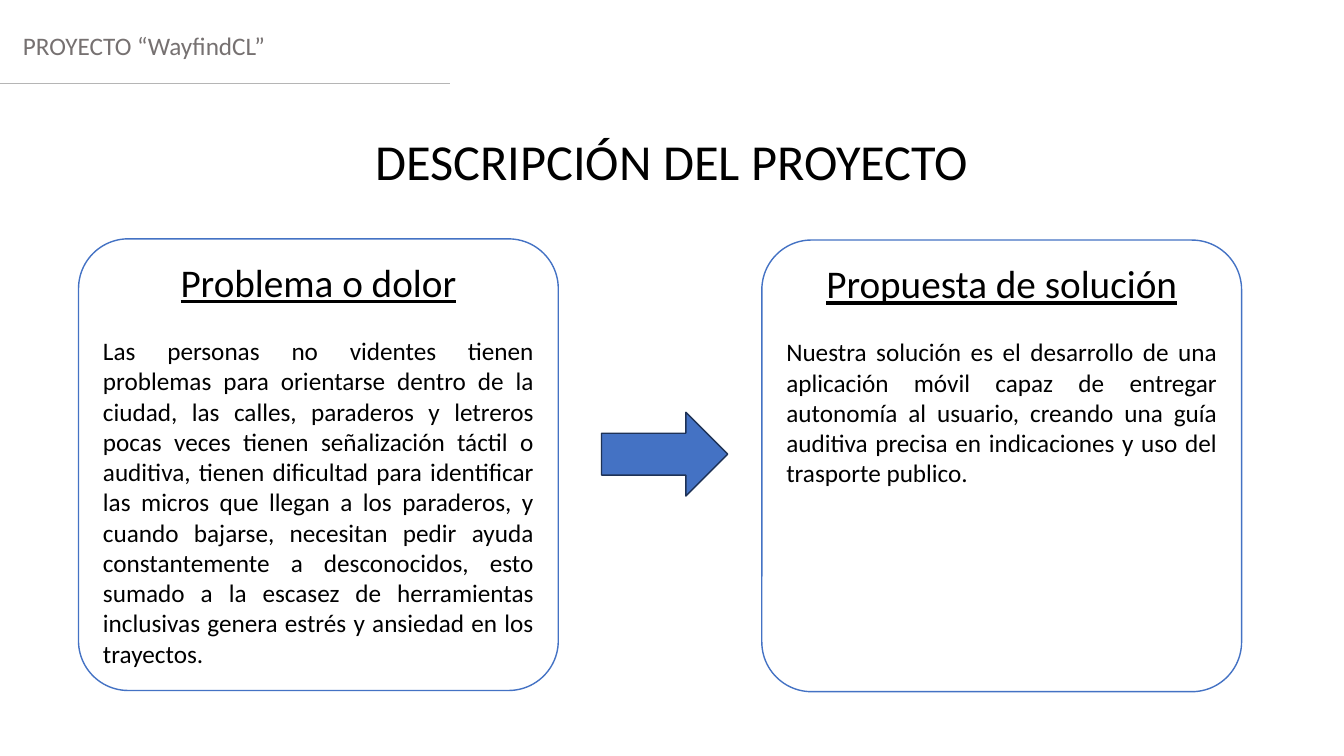
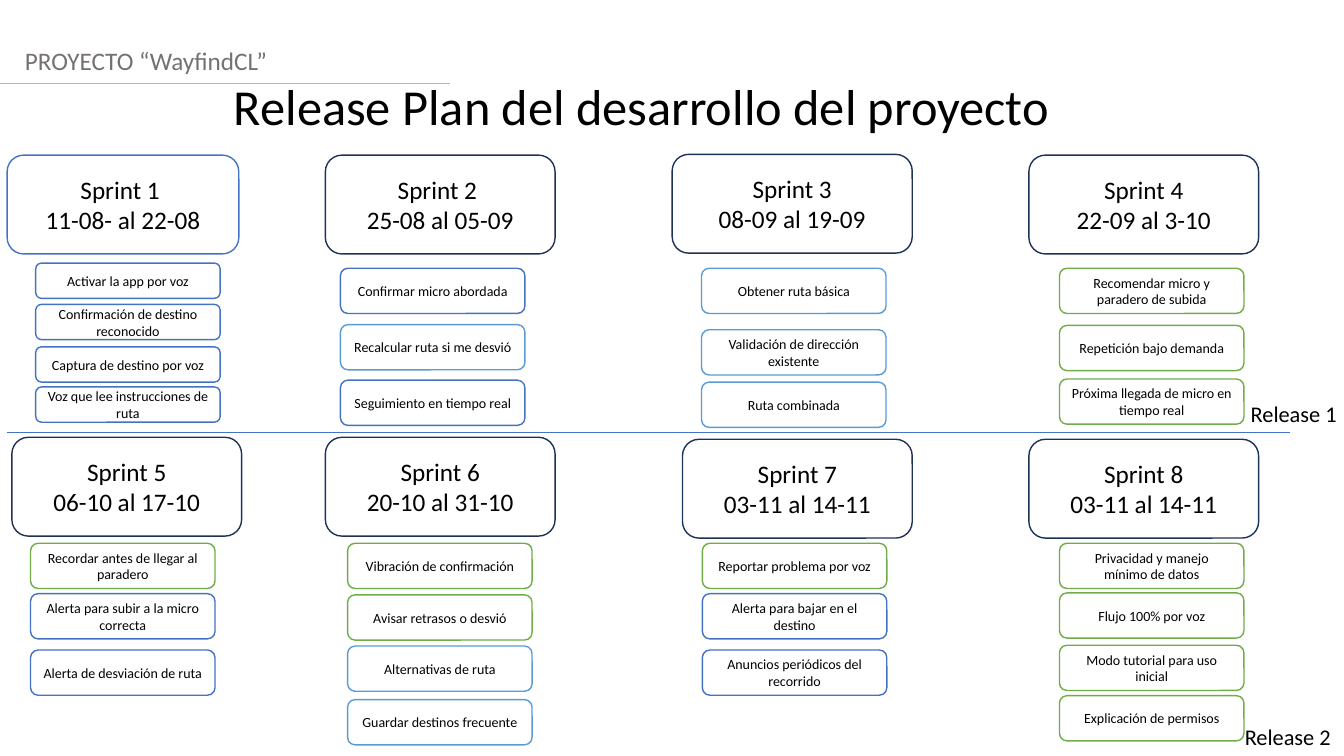
from dataclasses import dataclass

import pptx
import pptx.dml.color
import pptx.enum.shapes
import pptx.enum.text
import pptx.oxml.ns
import pptx.util
from lxml import etree
from pptx.util import Cm

RGBColor = pptx.dml.color.RGBColor
Align = pptx.enum.text.PP_ALIGN
Anchor = pptx.enum.text.MSO_ANCHOR
Preset = pptx.enum.shapes.MSO_SHAPE

BLACK = RGBColor(0x00, 0x00, 0x00)
WHITE = RGBColor(0xFF, 0xFF, 0xFF)
GRAY = RGBColor(0x76, 0x71, 0x71)
LIGHT_GRAY = RGBColor(0xB5, 0xB5, 0xB5)
BLUE = RGBColor(0x44, 0x72, 0xC4)
SKY = RGBColor(0x5B, 0x9B, 0xD5)
GREEN = RGBColor(0x70, 0xAD, 0x47)
NAVY = RGBColor(0x1E, 0x32, 0x56)

FONT = "Calibri"
SLIDE_WIDTH, SLIDE_HEIGHT = 33.87, 19.05
SPRINT_HEIGHT = 2.49
STORY_WIDTH = 4.65


@dataclass(frozen=True)
class Panel:
    left: float
    top: float
    heading: str
    body: str


@dataclass(frozen=True)
class Story:
    top: float
    border: RGBColor
    text: str


@dataclass(frozen=True)
class Sprint:
    left: float
    top: float
    name: str
    dates: str
    story_left: float
    stories: tuple[Story, ...]
    width: float = 5.79
    border: RGBColor = NAVY
    story_height: float = 1.14


@dataclass(frozen=True)
class Release:
    left: float
    top: float
    name: str


PANELS = (
    Panel(1.98, 6.02, "Problema o dolor",
          "Las personas no videntes tienen problemas para orientarse dentro de la ciudad, "
          "las calles, paraderos y letreros pocas veces tienen señalización táctil o auditiva, "
          "tienen dificultad para identificar las micros que llegan a los paraderos, y cuando "
          "bajarse, necesitan pedir ayuda constantemente a desconocidos, esto sumado a la "
          "escasez de herramientas inclusivas genera estrés y ansiedad en los trayectos."),
    Panel(19.2, 6.05, "Propuesta de solución",
          "Nuestra solución es el desarrollo de una aplicación móvil capaz de entregar "
          "autonomía al usuario, creando una guía auditiva precisa en indicaciones y uso "
          "del trasporte publico."),
)

SPRINTS = (
    Sprint(0.18, 3.91, "Sprint 1 ", "11-08- al 22-08", 0.9, (
        Story(6.63, BLUE, "Activar la app por voz"),
        Story(7.67, BLUE, "Confirmación de destino reconocido"),
        Story(8.74, BLUE, "Captura de destino por voz"),
        Story(9.75, BLUE, "Voz que lee instrucciones de ruta"),
    ), width=5.84, border=BLUE, story_height=0.89),
    Sprint(8.2, 3.91, "Sprint 2 ", "25-08 al 05-09", 8.58, (
        Story(6.76, BLUE, "Confirmar micro abordada"),
        Story(8.18, SKY, "Recalcular ruta si me desvió"),
        Story(9.58, BLUE, "Seguimiento en tiempo real"),
    )),
    Sprint(16.94, 3.89, "Sprint 3", "08-09 al 19-09", 17.68, (
        Story(6.76, SKY, "Obtener ruta básica"),
        Story(8.31, SKY, "Validación de dirección existente"),
        Story(9.63, SKY, "Ruta combinada"),
    ), width=6.05),
    Sprint(25.93, 3.91, "Sprint 4", "22-09 al 3-10", 26.7, (
        Story(6.76, GREEN, "Recomendar micro y paradero de subida"),
        Story(8.2, GREEN, "Repetición bajo demanda"),
        Story(9.55, GREEN, "Próxima llegada de micro en tiempo real"),
    )),
    Sprint(0.3, 11.02, "Sprint 5", "06-10 al 17-10", 0.77, (
        Story(13.69, GREEN, "Recordar antes de llegar al paradero"),
        Story(14.96, BLUE, "Alerta para subir a la micro correcta"),
        Story(16.38, BLUE, "Alerta de desviación de ruta"),
    )),
    Sprint(8.2, 11.02, "Sprint 6", "20-10 al 31-10", 8.76, (
        Story(13.69, GREEN, "Vibración de confirmación"),
        Story(14.99, GREEN, "Avisar retrasos o desvió"),
        Story(16.28, SKY, "Alternativas de ruta"),
        Story(17.63, SKY, "Guardar destinos frecuente"),
    )),
    Sprint(17.2, 11.07, "Sprint 7", "03-11 al 14-11", 17.7, (
        Story(13.69, GREEN, "Reportar problema por voz"),
        Story(14.96, BLUE, "Alerta para bajar en el destino"),
        Story(16.38, BLUE, "Anuncios periódicos del recorrido"),
    )),
    Sprint(25.93, 11.07, "Sprint 8", "03-11 al 14-11", 26.7, (
        Story(13.69, GREEN, "Privacidad y manejo mínimo de datos"),
        Story(14.94, GREEN, "Flujo 100% por voz"),
        Story(16.26, GREEN, "Modo tutorial para uso inicial"),
        Story(17.53, GREEN, "Explicación de permisos"),
    )),
)

RELEASES = (Release(31.27, 9.96, "Release 1"), Release(31.12, 18.11, "Release 2"))


def add_run(paragraph, text: str, size: float, color: RGBColor = BLACK,
            underline: bool = False) -> None:
    run = paragraph.add_run()
    run.text = text
    run.font.name = FONT
    run.font.size = pptx.util.Pt(size)
    run.font.color.rgb = color
    run.font.underline = underline


def add_label(slide, left: float, top: float, width: float, height: float, text: str,
              size: float, color: RGBColor = BLACK, align=Align.LEFT,
              right_inset: float = 0.25) -> None:
    label = slide.shapes.add_textbox(Cm(left), Cm(top), Cm(width), Cm(height))
    label.text_frame.word_wrap = True
    label.text_frame.margin_right = Cm(right_inset)
    label.text_frame.auto_size = pptx.enum.text.MSO_AUTO_SIZE.SHAPE_TO_FIT_TEXT
    paragraph = label.text_frame.paragraphs[0]
    paragraph.alignment = align
    add_run(paragraph, text, size, color)


def add_rule(slide, left: float, right: float, top: float, color: RGBColor) -> None:
    rule = slide.shapes.add_connector(pptx.enum.shapes.MSO_CONNECTOR.STRAIGHT,
                                      Cm(left), Cm(top), Cm(right), Cm(top))
    rule.line.color.rgb = color
    rule.line.width = pptx.util.Pt(0.5)
    etree.SubElement(rule._element.spPr, pptx.oxml.ns.qn("a:effectLst"))


def add_figure(slide, preset, left: float, top: float, width: float, height: float,
               border: RGBColor, fill: RGBColor = WHITE):
    figure = slide.shapes.add_shape(preset, Cm(left), Cm(top), Cm(width), Cm(height))
    figure.shadow.inherit = False
    figure.fill.solid()
    figure.fill.fore_color.rgb = fill
    figure.line.color.rgb = border
    figure.line.width = pptx.util.Pt(1)
    figure.text_frame.word_wrap = True
    return figure


def add_card(slide, left: float, top: float, width: float, height: float,
             border: RGBColor, lines: tuple[str, ...], size: float) -> None:
    card = add_figure(slide, Preset.ROUNDED_RECTANGLE, left, top, width, height, border)
    card.text_frame.vertical_anchor = Anchor.MIDDLE
    paragraph = card.text_frame.paragraphs[0]
    paragraph.alignment = Align.CENTER
    for index, line in enumerate(lines):
        if index:
            paragraph.add_line_break()
        add_run(paragraph, line, size)


def add_panel(slide, panel: Panel) -> None:
    box = add_figure(slide, Preset.ROUNDED_RECTANGLE, panel.left, panel.top,
                     12.09, 11.38, BLUE)
    box.adjustments[0] = 0.11
    box.text_frame.vertical_anchor = Anchor.TOP
    heading = box.text_frame.paragraphs[0]
    heading.alignment = Align.CENTER
    heading.space_after = pptx.util.Pt(21.5)
    add_run(heading, panel.heading, 28, underline=True)
    body = box.text_frame.add_paragraph()
    body.alignment = Align.JUSTIFY
    add_run(body, panel.body, 18)


def add_sprint(slide, sprint: Sprint) -> None:
    add_card(slide, sprint.left, sprint.top, sprint.width, SPRINT_HEIGHT,
             sprint.border, (sprint.name, sprint.dates), 18)
    for story in sprint.stories:
        add_card(slide, sprint.story_left, story.top, STORY_WIDTH, sprint.story_height,
                 story.border, (story.text,), 10)


def start_slide(deck, title: str, title_left: float, title_top: float,
                project_left: float, project_top: float):
    slide = deck.slides.add_slide(deck.slide_layouts[6])
    add_label(slide, project_left, project_top, 11, 1.03, "PROYECTO “WayfindCL”", 18, GRAY)
    add_label(slide, title_left, title_top, SLIDE_WIDTH, 1.8, title, 36, align=Align.CENTER)
    add_rule(slide, 0, 11.35, 2.1, LIGHT_GRAY)
    return slide


def build_description(deck) -> None:
    slide = start_slide(deck, "DESCRIPCIÓN DEL PROYECTO", 0, 3.15, 0.33, 0.64)
    for panel in PANELS:
        add_panel(slide, panel)
    add_figure(slide, Preset.RIGHT_ARROW, 15.16, 10.39, 3.18, 2.11, NAVY, BLUE)


def build_release_plan(deck) -> None:
    slide = start_slide(deck, "Release Plan del desarrollo del proyecto",
                        -0.76, 1.78, 0.38, 1.02)
    add_rule(slide, 0.18, 32.51, 10.9, BLUE)
    for release in RELEASES:
        add_label(slide, release.left, release.top, SLIDE_WIDTH - release.left, 0.94,
                  release.name, 16, right_inset=0)
    for sprint in SPRINTS:
        add_sprint(slide, sprint)


def main() -> None:
    deck = pptx.Presentation()
    deck.slide_width = Cm(SLIDE_WIDTH)
    deck.slide_height = Cm(SLIDE_HEIGHT)
    build_description(deck)
    build_release_plan(deck)
    deck.save("out.pptx")


if __name__ == "__main__":
    main()
